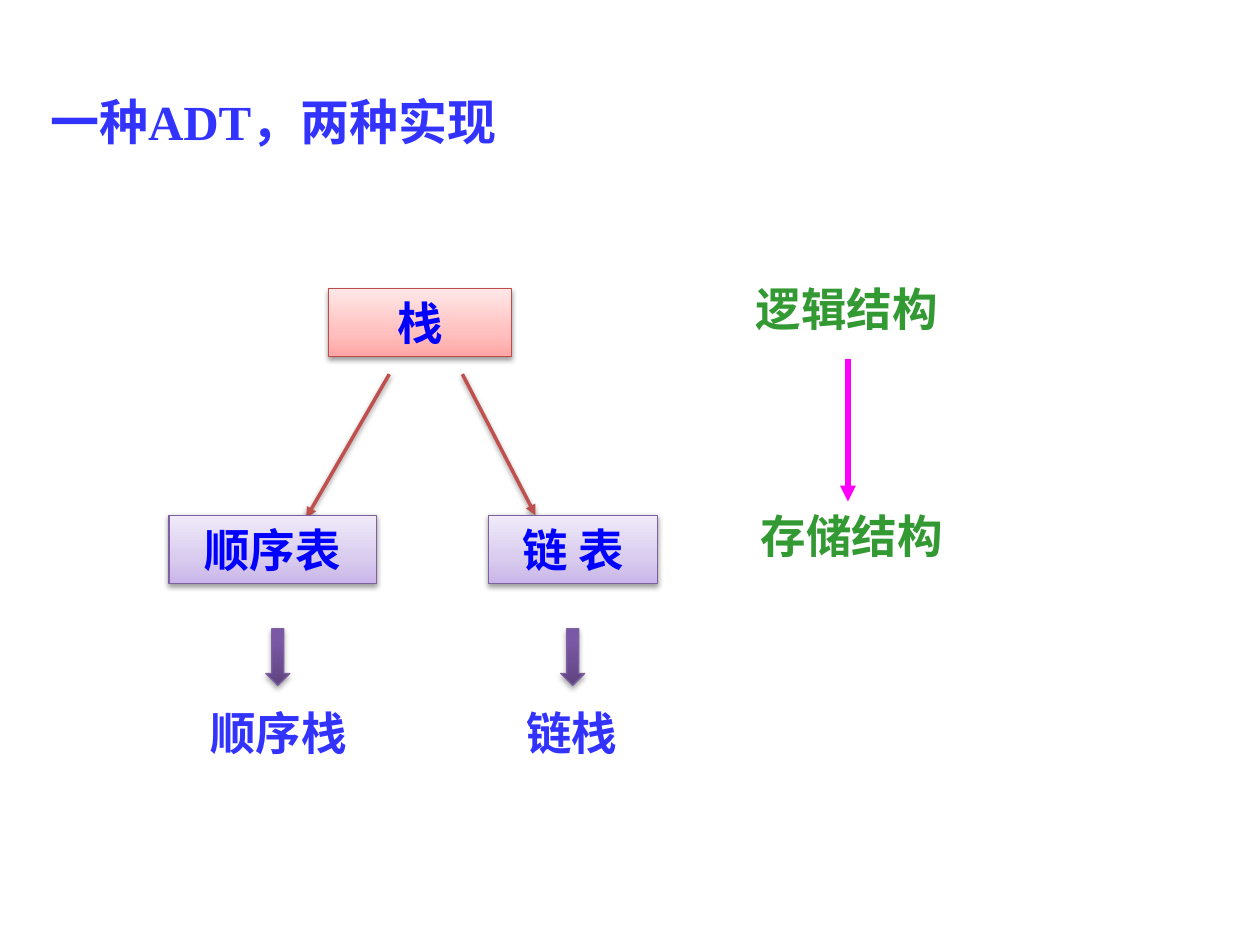
from lxml import etree
from pptx import Presentation
from pptx import util as u
from pptx.dml.color import RGBColor
from pptx.enum import shapes, text
from pptx.oxml.ns import qn

SANS_SC, SANS_JP = "Noto Sans CJK SC", "Noto Sans CJK JP"
RED_STOPS = [(0, "FFA6A5"), (35, "FFC0BF"), (100, "FFE7E7")]
LILAC_STOPS = [(0, "C9B5E8"), (35, "D8CBEE"), (100, "F0EAF9")]
PURPLE_STOPS = [(0, "5F4480"), (80, "7B58A6"), (100, "7C57A8")]
BOX_HEIGHT = 0.54


def rgb(value):
    return RGBColor.from_string(value)


def add_xml(parent, tag, **attributes):
    return etree.SubElement(parent, qn(tag), {k: str(v) for k, v in attributes.items()})


def add_shadow(effects, opacity, distance):
    """Add a soft black shadow straight below; opacity in percent, distance in points."""
    shadow = add_xml(effects, "a:outerShdw", blurRad=u.Pt(3.1), dist=u.Pt(distance),
                     dir=90 * 60000, rotWithShape=0)
    black = add_xml(shadow, "a:srgbClr", val="000000")
    add_xml(black, "a:alpha", val=opacity * 1000)


class Diagram:
    """Holds the text style and the slide being drawn."""

    size = 26

    def __init__(self, slide):
        self.slide = slide

    def set_text(self, frame, words, color, font, size=None, centred=False):
        frame.word_wrap = True
        frame.auto_size = text.MSO_AUTO_SIZE.SHAPE_TO_FIT_TEXT
        frame.text = words
        paragraph = frame.paragraphs[0]
        paragraph.alignment = text.PP_ALIGN.CENTER if centred else text.PP_ALIGN.LEFT
        style = paragraph.runs[0].font
        style.size, style.bold, style.name = u.Pt(size or self.size), True, font
        style.color.rgb = rgb(color)
        east_asian = SANS_SC if font in ("Times New Roman", "Calibri") else font
        add_xml(style._element, "a:ea", typeface=east_asian)

    def label(self, words, left, top, width, color, font=SANS_SC, height=BOX_HEIGHT, **style):
        box = self.slide.shapes.add_textbox(*map(u.Inches, (left, top, width, height)))
        self.set_text(box.text_frame, words, color, font, **style)

    def gradient_shape(self, kind, left, top, width, height, stops, outline, opacity, distance):
        shape = self.slide.shapes.add_shape(kind, *map(u.Inches, (left, top, width, height)))
        shape.fill.gradient()
        shape.fill.gradient_angle = 90
        stop_list = shape._element.spPr.find(qn("a:gradFill")).find(qn("a:gsLst"))
        stop_list.clear()
        for position, color in stops:
            stop = add_xml(stop_list, "a:gs", pos=position * 1000)
            add_xml(stop, "a:srgbClr", val=color)
        shape.line.color.rgb = rgb(outline)
        shape.line.width = u.Pt(0.75)
        shape.shadow.inherit = False
        add_shadow(shape._element.spPr.find(qn("a:effectLst")), opacity, distance)
        return shape

    def box(self, words, left, top, width, stops, outline, font=SANS_SC):
        shape = self.gradient_shape(shapes.MSO_SHAPE.RECTANGLE, left, top, width, BOX_HEIGHT,
                                    stops, outline, 38, 1.6)
        self.set_text(shape.text_frame, words, "0000FF", font, centred=True)

    def block_arrow(self, left, top):
        self.gradient_shape(shapes.MSO_SHAPE.DOWN_ARROW, left, top, 0.19, 0.45,
                            PURPLE_STOPS, "7D60A0", 35, 1.8)

    def arrow(self, start, end, color, width, shadowed=False):
        connector = self.slide.shapes.add_connector(
            shapes.MSO_CONNECTOR.STRAIGHT, *map(u.Inches, (*start, *end)))
        connector.line.color.rgb = rgb(color)
        connector.line.width = u.Pt(width)
        properties = connector._element.spPr
        add_xml(properties.find(qn("a:ln")), "a:tailEnd", type="triangle")
        effects = add_xml(properties, "a:effectLst")
        if shadowed:
            add_shadow(effects, 38, 1.6)


def main():
    deck = Presentation()
    deck.slide_width, deck.slide_height = u.Inches(10), u.Inches(7.5)
    diagram = Diagram(deck.slides.add_slide(deck.slide_layouts[6]))

    diagram.label("一种ADT，两种实现", 0.3, 0.68, 9.45, "3333FF", "Times New Roman",
                  height=0.57, size=28)

    diagram.label("逻辑结构", 5.9, 2.18, 2.45, "339933")
    diagram.label("存储结构", 5.94, 3.98, 2.42, "339933")
    diagram.arrow((6.73, 2.85), (6.73, 3.98), "FF00FF", 3)

    diagram.box("栈", 2.61, 2.29, 1.45, RED_STOPS, "BF4C48", "Calibri")
    diagram.arrow((3.09, 2.97), (2.43, 4.11), "C0504D", 2, shadowed=True)
    diagram.arrow((3.67, 2.97), (4.25, 4.09), "C0504D", 2, shadowed=True)

    branches = [
        ("顺序表", 1.34, 1.65, "顺序栈", 1.14, 2.11),
        ("链 表", 3.88, 1.34, "链栈", 3.47, 4.45),
    ]
    for storage, box_left, box_width, stack, stack_left, arrow_left in branches:
        diagram.box(storage, box_left, 4.09, box_width, LILAC_STOPS, "7D60A0")
        diagram.label(stack, stack_left, 5.55, 2.14, "3333FF", SANS_JP, centred=True)
        diagram.block_arrow(arrow_left, 4.99)

    deck.save("out.pptx")


if __name__ == "__main__":
    main()
